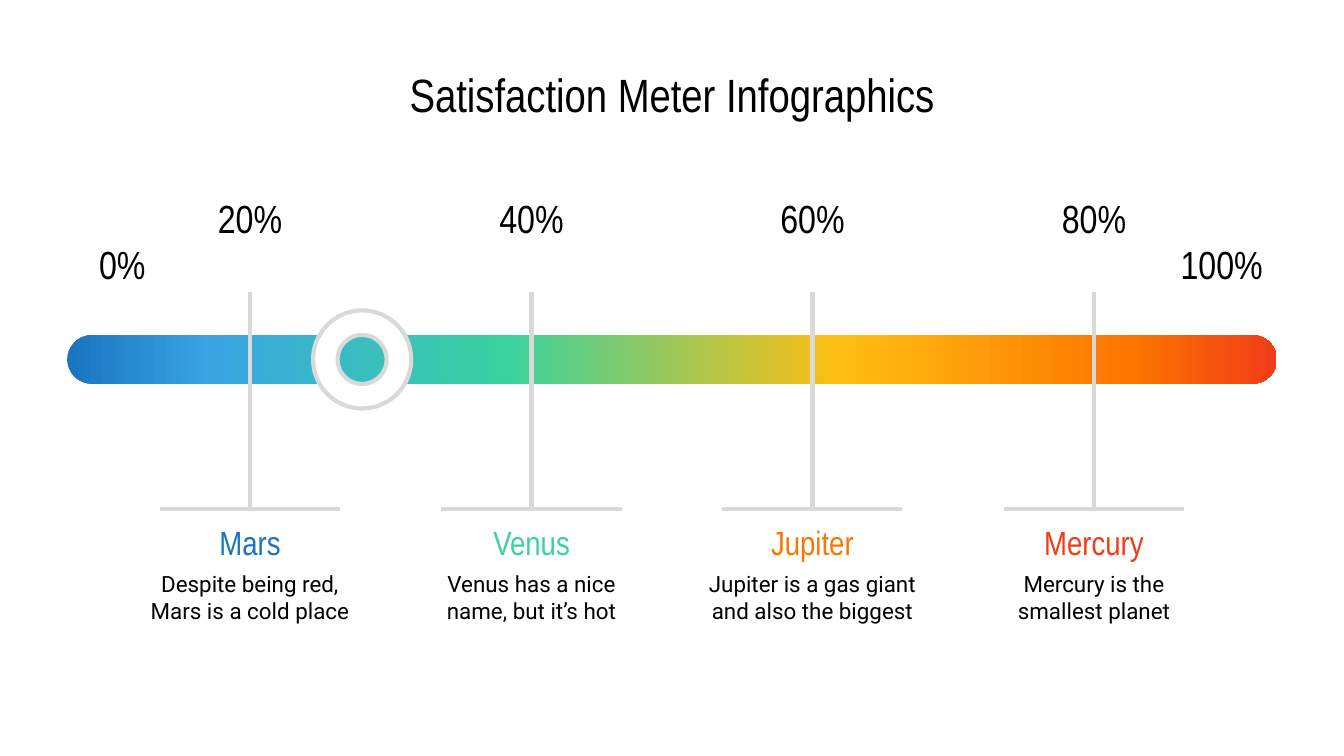
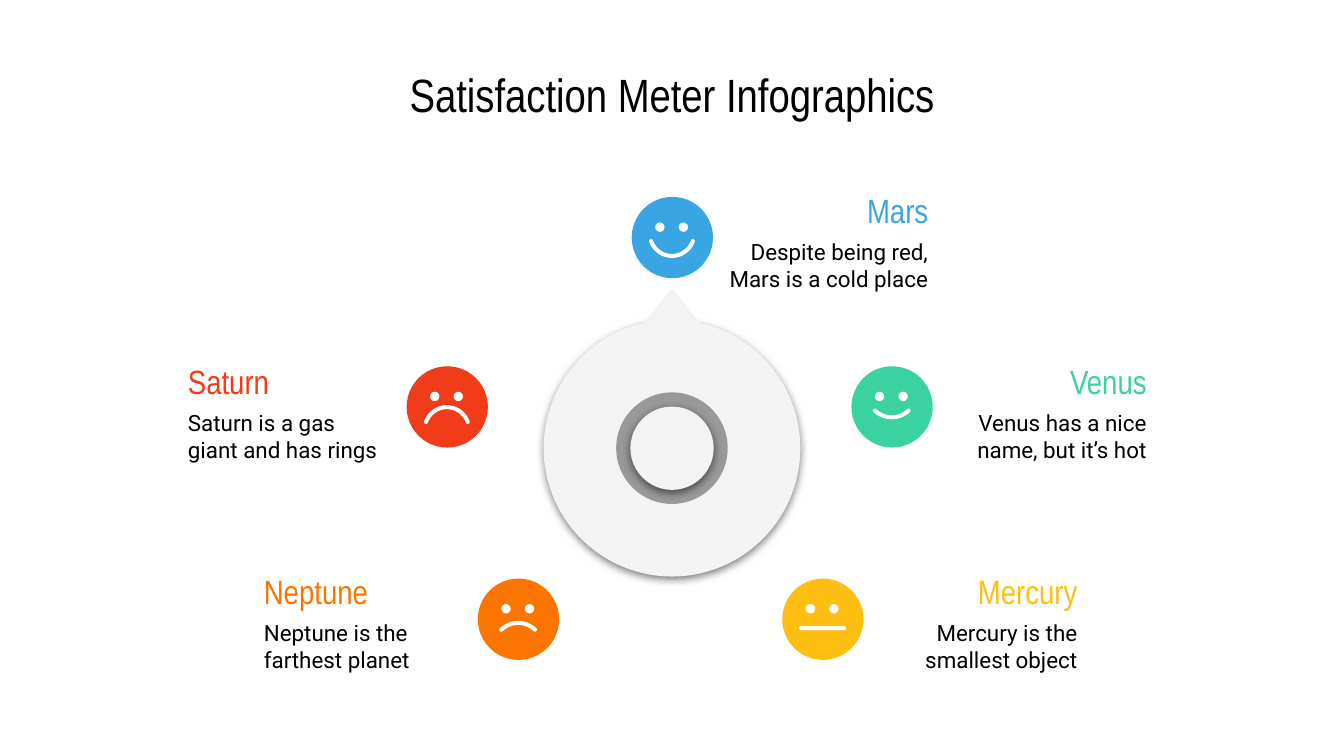
from dataclasses import dataclass
from math import asin, cos, pi, sin

from lxml.etree import SubElement
from pptx import Presentation
from pptx.dml.color import RGBColor
from pptx.enum.shapes import MSO_CONNECTOR, MSO_SHAPE
from pptx.enum.text import MSO_ANCHOR, MSO_AUTO_SIZE, PP_ALIGN
from pptx.oxml.ns import qn
from pptx.shapes.autoshape import Shape
from pptx.shapes.shapetree import GroupShapes, SlideShapes
from pptx.slide import Slide
from pptx.text.text import TextFrame
from pptx.util import Pt

EMU_PER_PX = 4572
SLIDE_WIDTH, SLIDE_HEIGHT = 2000, 1125
INSET = 20
HEADING_FONT, BODY_FONT = "Arial Narrow", "Roboto"
BLACK, WHITE = "000000", "FFFFFF"
RULE_GRAY, DIAL_GRAY, RING_GRAY = "D9D9D9", "F3F3F3", "999999"
NAVY, BLUE, GREEN = "1A74BF", "39A6E3", "39D2A0"
YELLOW, ORANGE, RED = "FFBE12", "FC7500", "F13C19"
TITLE = "Satisfaction Meter Infographics"
CAPTION_HEAD, CAPTION_BODY = 72, 110
PERCENT_WIDTH, PERCENT_HEIGHT = 164, 84
FACE_SIZE, EYE_SIZE, MOUTH_STROKE = 121, 14, 6
ARC_STEPS, CAP_STEPS = 24, 8

Canvas = SlideShapes | GroupShapes


@dataclass(frozen=True)
class Box:
    left: int
    top: int
    width: int
    height: int

    def emu(self) -> tuple[int, int, int, int]:
        return px(self.left), px(self.top), px(self.width), px(self.height)


@dataclass(frozen=True)
class Style:
    font: str
    size: int
    color: str = BLACK
    align: PP_ALIGN = PP_ALIGN.CENTER
    anchor: MSO_ANCHOR = MSO_ANCHOR.TOP


@dataclass(frozen=True)
class Milestone:
    percent: str
    planet: str
    description: str
    color: str


@dataclass(frozen=True)
class Mouth:
    top: int
    width: int
    height: int
    smiling: bool = True


@dataclass(frozen=True)
class Mood:
    planet: str
    description: str
    color: str
    left: int
    top: int
    caption_left: int
    caption_top: int
    align: PP_ALIGN
    mouth: Mouth


PERCENT = Style(HEADING_FONT, 21, anchor=MSO_ANCHOR.MIDDLE)

METER_STOPS = [(0, NAVY), (12, BLUE), (36, GREEN),
               (64, YELLOW), (88, ORANGE), (100, RED)]

MILESTONES = [
    Milestone("20%", "Mars", "Despite being red, Mars is a cold place", NAVY),
    Milestone("40%", "Venus", "Venus has a nice name, but it’s hot", GREEN),
    Milestone("60%", "Jupiter", "Jupiter is a gas giant and also the biggest", ORANGE),
    Milestone("80%", "Mercury", "Mercury is the smallest planet", RED),
]

MOODS = [
    Mood("Saturn", "Saturn is a gas giant and has rings", RED,
         605, 545, 260, 517, PP_ALIGN.LEFT, Mouth(58, 68, 28, False)),
    Mood("Mars", "Despite being red, Mars is a cold place", BLUE,
         940, 293, 1063, 262, PP_ALIGN.RIGHT, Mouth(63, 68, 28)),
    Mood("Mercury", "Mercury is the smallest object", YELLOW,
         1164, 861, 1285, 830, PP_ALIGN.RIGHT, Mouth(71, 70, MOUTH_STROKE)),
    Mood("Venus", "Venus has a nice name, but it’s hot", GREEN,
         1267, 545, 1388, 517, PP_ALIGN.RIGHT, Mouth(63, 56, 16)),
    Mood("Neptune", "Neptune is the farthest planet", ORANGE,
         711, 861, 373, 830, PP_ALIGN.LEFT, Mouth(63, 56, 16, False)),
]


def px(length: float) -> int:
    return round(length * EMU_PER_PX)


def rgb(color: str) -> RGBColor:
    return RGBColor.from_string(color)


def write(frame: TextFrame, text: str, style: Style) -> None:
    frame.word_wrap = True
    frame.auto_size = MSO_AUTO_SIZE.NONE
    frame.vertical_anchor = style.anchor
    frame.margin_left = frame.margin_right = px(INSET)
    frame.margin_top = frame.margin_bottom = px(INSET)
    paragraph = frame.paragraphs[0]
    paragraph.text = text
    paragraph.alignment = style.align
    paragraph.font.name = style.font
    paragraph.font.size = Pt(style.size)
    paragraph.font.color.rgb = rgb(style.color)


def add_label(canvas: Canvas, box: Box, text: str, style: Style) -> None:
    write(canvas.add_textbox(*box.emu()).text_frame, text, style)


def add_percent(canvas: Canvas, left: int, top: int, percent: str) -> None:
    add_label(canvas, Box(left, top, PERCENT_WIDTH, PERCENT_HEIGHT), percent, PERCENT)


def add_caption(canvas: Canvas, left: int, top: int, width: int, planet: str,
                description: str, color: str, align: PP_ALIGN) -> None:
    add_label(canvas, Box(left, top, width, CAPTION_HEAD), planet,
              Style(HEADING_FONT, 18, color, align))
    add_label(canvas, Box(left, top + CAPTION_HEAD, width, CAPTION_BODY),
              description, Style(BODY_FONT, 12, align=align))


def paint(shape: Shape, color: str) -> Shape:
    shape.shadow.inherit = False
    shape.fill.solid()
    shape.fill.fore_color.rgb = rgb(color)
    shape.line.fill.background()
    return shape


def add_solid(canvas: Canvas, kind: MSO_SHAPE, box: Box, color: str) -> Shape:
    return paint(canvas.add_shape(kind, *box.emu()), color)


def add_rule(canvas: Canvas, x1: int, y1: int, x2: int, y2: int) -> None:
    rule = canvas.add_connector(MSO_CONNECTOR.STRAIGHT, px(x1), px(y1), px(x2), px(y2))
    rule.line.color.rgb = rgb(RULE_GRAY)
    rule.line.width = Pt(2.25)
    SubElement(rule._element.spPr, qn("a:effectLst"))


def cast_shadow(shape: Shape) -> None:
    effects = shape._element.spPr.find(qn("a:effectLst"))
    shadow = SubElement(effects, qn("a:outerShdw"), blurRad=str(Pt(4.5)),
                        dist=str(Pt(1.5)), dir="5400000", algn="bl", rotWithShape="0")
    tint = SubElement(shadow, qn("a:srgbClr"), val=BLACK)
    SubElement(tint, qn("a:alpha"), val="50000")


def fill_gradient(shape: Shape, stops: list[tuple[int, str]]) -> None:
    shape.fill.gradient()
    shape.fill.gradient_angle = 0
    stop_list = shape._element.spPr.find(qn("a:gradFill")).find(qn("a:gsLst"))
    for stop in list(stop_list):
        stop_list.remove(stop)
    for position, color in stops:
        stop = SubElement(stop_list, qn("a:gs"), pos=str(position * 1000))
        SubElement(stop, qn("a:srgbClr"), val=color)


def add_mouth(canvas: Canvas, center: int, top: int, mouth: Mouth) -> None:
    if mouth.height == MOUTH_STROKE:
        box = Box(center - mouth.width // 2, top, mouth.width, mouth.height)
        bar = add_solid(canvas, MSO_SHAPE.ROUNDED_RECTANGLE, box, WHITE)
        bar.adjustments[0] = 0.5
        return
    half_stroke = MOUTH_STROKE / 2
    half_chord = mouth.width / 2 - half_stroke
    depth = mouth.height - MOUTH_STROKE
    radius = (half_chord ** 2 + depth ** 2) / (2 * depth)
    reach = asin(half_chord / radius)
    bend = 1 if mouth.smiling else -1
    lip = top + (mouth.height if mouth.smiling else 0)
    pivot = lip - bend * (radius + half_stroke)

    def at(angle: float, distance: float) -> tuple[float, float]:
        return center + distance * sin(angle), pivot + bend * distance * cos(angle)

    def cap(angle: float, start: float) -> list[tuple[float, float]]:
        x, y = at(angle, radius)
        turns = [start + pi * step / CAP_STEPS for step in range(CAP_STEPS + 1)]
        return [(x + half_stroke * sin(turn), y + bend * half_stroke * cos(turn))
                for turn in turns]

    sweep = [reach * (2 * step / ARC_STEPS - 1) for step in range(ARC_STEPS + 1)]
    outline = [at(angle, radius + half_stroke) for angle in sweep]
    outline += cap(reach, reach)
    outline += [at(angle, radius - half_stroke) for angle in reversed(sweep)]
    outline += cap(-reach, pi - reach)
    points = [(px(x), px(y)) for x, y in outline]
    builder = canvas.build_freeform(*points[0])
    builder.add_line_segments(points[1:], close=True)
    paint(builder.convert_to_shape(), WHITE)


def add_mood(slide: Slide, mood: Mood) -> None:
    canvas = slide.shapes.add_group_shape().shapes
    add_solid(canvas, MSO_SHAPE.OVAL,
              Box(mood.left, mood.top, FACE_SIZE, FACE_SIZE), mood.color)
    add_mouth(canvas, mood.left + FACE_SIZE // 2, mood.top + mood.mouth.top, mood.mouth)
    for eye_offset in (35, 70):
        add_solid(canvas, MSO_SHAPE.OVAL,
                  Box(mood.left + eye_offset, mood.top + 38, EYE_SIZE, EYE_SIZE), WHITE)
    add_caption(canvas, mood.caption_left, mood.caption_top, 338,
                mood.planet, mood.description, mood.color, mood.align)


def add_milestone(slide: Slide, center: int, milestone: Milestone) -> None:
    canvas = slide.shapes.add_group_shape().shapes
    base = 758
    add_caption(canvas, center - 179, base - 1, 358, milestone.planet,
                milestone.description, milestone.color, PP_ALIGN.CENTER)
    add_rule(canvas, center, 435, center, base)
    add_rule(canvas, center - 134, base, center + 134, base)
    add_percent(canvas, center - PERCENT_WIDTH // 2, 282, milestone.percent)


def add_dial(slide: Slide) -> None:
    canvas = slide.shapes.add_group_shape().shapes
    cast_shadow(add_solid(canvas, MSO_SHAPE.OVAL, Box(809, 476, 382, 382), DIAL_GRAY))
    add_solid(canvas, MSO_SHAPE.OVAL, Box(917, 584, 166, 166), RING_GRAY)
    cast_shadow(add_solid(canvas, MSO_SHAPE.OVAL, Box(938, 605, 124, 124), DIAL_GRAY))
    add_solid(canvas, MSO_SHAPE.ISOSCELES_TRIANGLE, Box(950, 429, 100, 62), DIAL_GRAY)


def add_titled_slide(deck: Presentation) -> Slide:
    slide = deck.slides.add_slide(deck.slide_layouts[5])
    slide.background.fill.solid()
    slide.background.fill.fore_color.rgb = rgb(WHITE)
    title = slide.shapes.title
    title.left, title.top, title.width, title.height = Box(100, 90, 1800, 100).emu()
    write(title.text_frame, TITLE, Style(HEADING_FONT, 25, anchor=MSO_ANCHOR.MIDDLE))
    return slide


def build_meter_slide(deck: Presentation) -> None:
    slide = add_titled_slide(deck)
    meter = add_solid(slide.shapes, MSO_SHAPE.ROUNDED_RECTANGLE,
                      Box(100, 499, 1800, 72), NAVY)
    meter.adjustments[0] = 0.5
    fill_gradient(meter, METER_STOPS)
    slider = add_solid(slide.shapes, MSO_SHAPE.DONUT, Box(466, 462, 146, 146), WHITE)
    slider.adjustments[0] = 0.25
    slider.line.color.rgb = rgb(RULE_GRAY)
    slider.line.width = Pt(2.25)
    add_percent(slide.shapes, 100, 350, "0%")
    first, last = 372, 1628
    for index, milestone in enumerate(MILESTONES):
        center = round(first + (last - first) * index / (len(MILESTONES) - 1))
        add_milestone(slide, center, milestone)
    add_percent(slide.shapes, 1736, 350, "100%")


def build_dial_slide(deck: Presentation) -> None:
    slide = add_titled_slide(deck)
    add_dial(slide)
    for mood in MOODS:
        add_mood(slide, mood)


def main() -> None:
    deck = Presentation()
    deck.slide_width, deck.slide_height = px(SLIDE_WIDTH), px(SLIDE_HEIGHT)
    build_meter_slide(deck)
    build_dial_slide(deck)
    deck.save("out.pptx")


if __name__ == "__main__":
    main()
